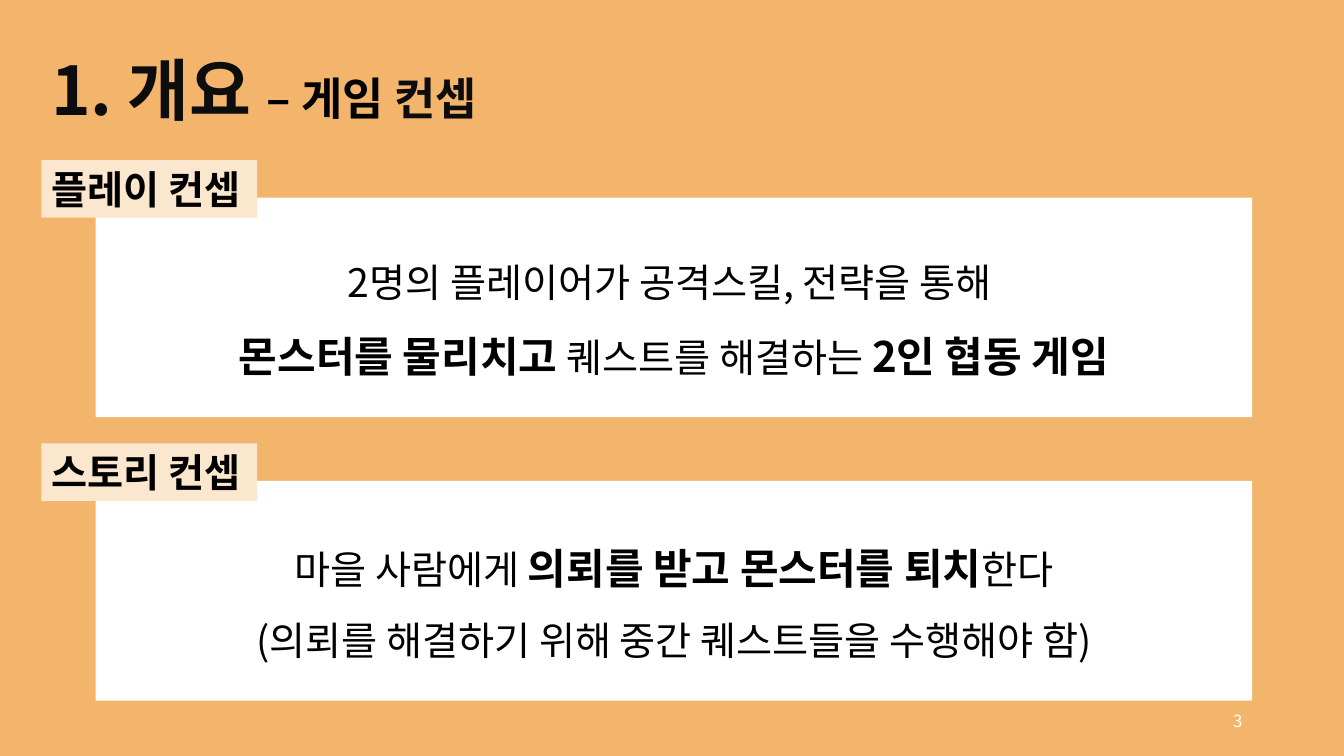
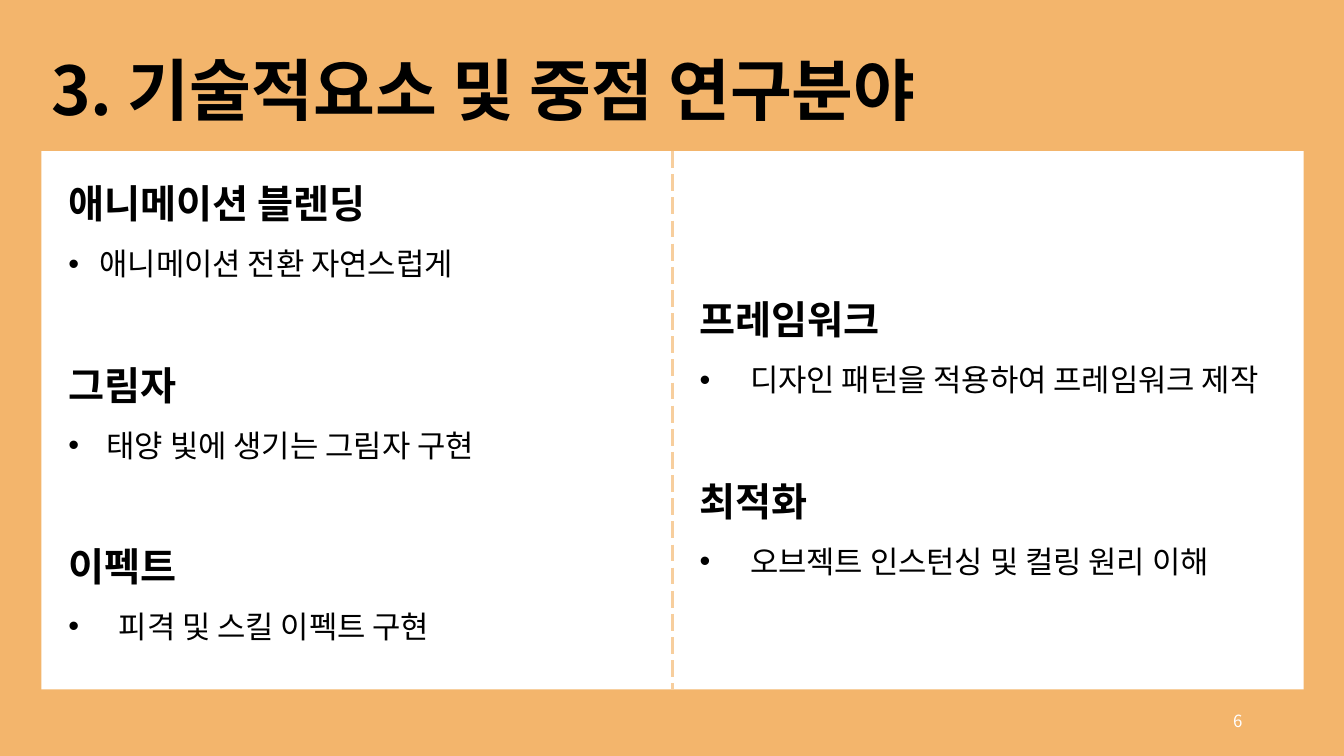
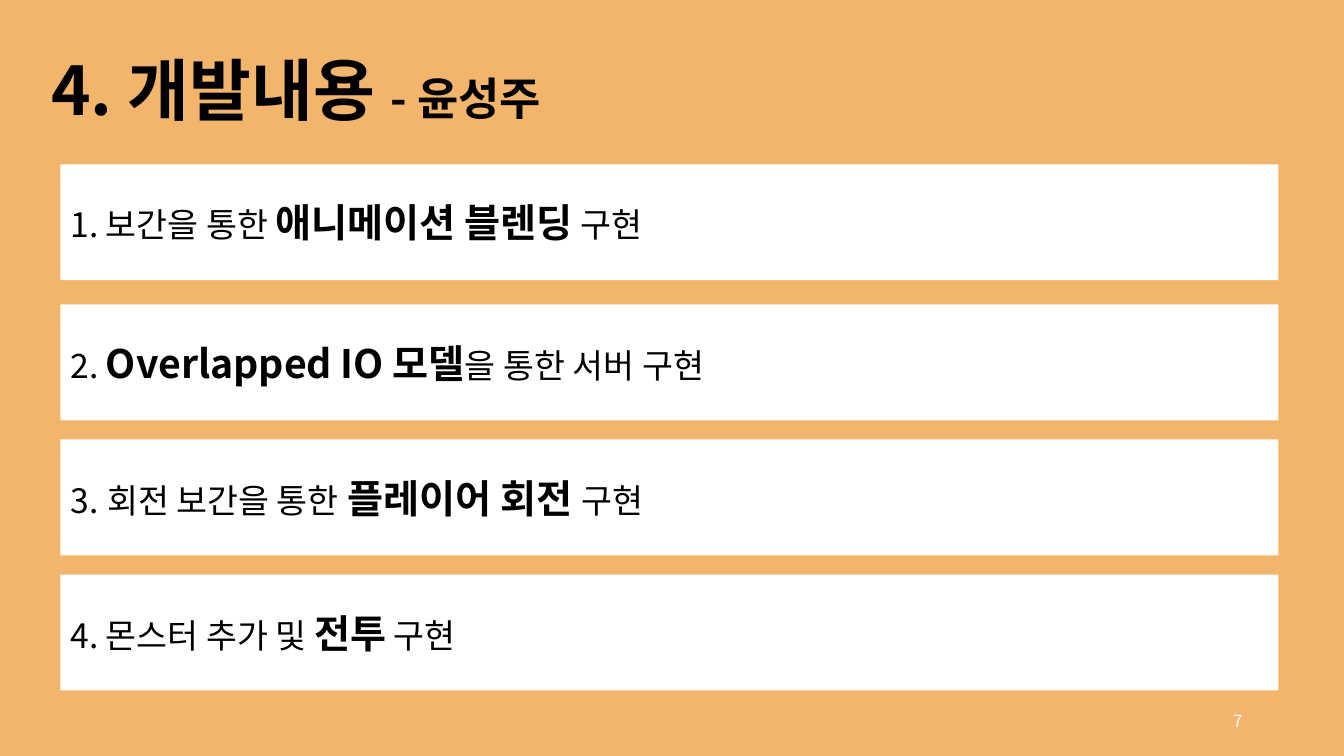
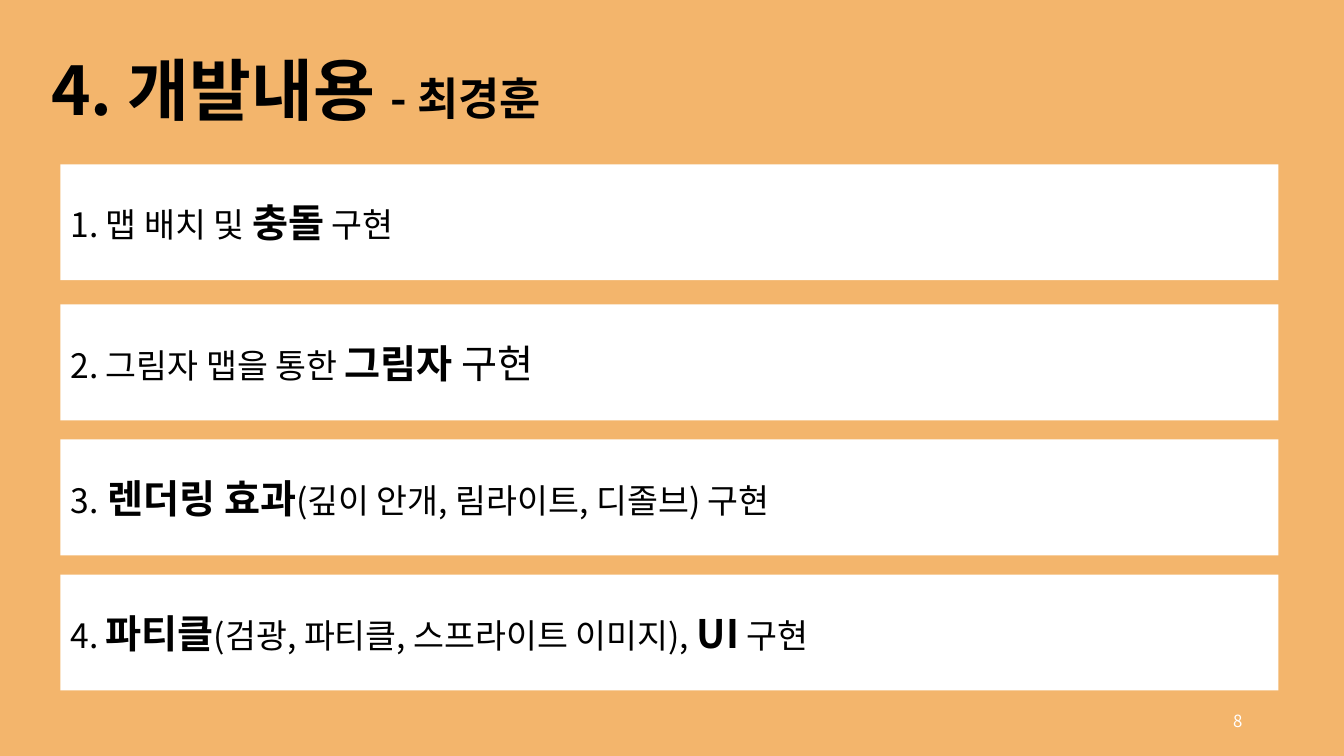
from lxml.etree import SubElement
from pptx import Presentation
from pptx.dml.color import RGBColor
from pptx.enum.dml import MSO_LINE
from pptx.enum.shapes import MSO_CONNECTOR, MSO_SHAPE
from pptx.enum.text import MSO_ANCHOR as Anchor, MSO_AUTO_SIZE as AutoSize, PP_ALIGN as Align
from pptx.oxml.ns import qn
from pptx.util import Inches, Pt


def rgb(value):
    """Turn a hex string into a colour."""
    return RGBColor.from_string(value)


class Deck:
    """Hold the shared style and the slide being built."""

    FONT = "Noto Sans CJK KR"
    ORANGE, CREAM, DASH = "F3B56C", "FBE6CE", "F7CE9D"
    WHITE, BLACK, INK = "FFFFFF", "000000", "0D0D0D"
    LEFT = 0.41
    TOPIC_GAP = 39.5

    def __init__(self):
        """Open an empty widescreen presentation."""
        self.prs = Presentation()
        self.prs.slide_width, self.prs.slide_height = Inches(13.33), Inches(7.5)
        self.slide = None

    def new_slide(self, number, title):
        """Start a slide with its background, title and page number."""
        self.slide = self.prs.slides.add_slide(self.prs.slide_layouts[6])
        background = self.slide.background.fill
        background.solid()
        background.fore_color.rgb = rgb(self.ORANGE)
        heading = self.text_area((self.LEFT, 0.35, 12.17, 1.15), Anchor.MIDDLE)
        self.add_runs(heading.paragraphs[0], title, spacing=0.9)
        page = self.text_area((9.42, 6.95, 3, 0.4), Anchor.MIDDLE)
        self.add_runs(page.paragraphs[0], [(number, 12, False, self.WHITE)], Align.RIGHT)

    def text_area(self, box, anchor=Anchor.TOP):
        """Add a wrapping text box and return its frame."""
        frame = self.slide.shapes.add_textbox(*map(Inches, box)).text_frame
        frame.word_wrap = True
        frame.vertical_anchor = anchor
        return frame

    def add_runs(self, paragraph, runs, align=Align.LEFT, spacing=None):
        """Fill a paragraph with runs of text, size, weight and optional colour."""
        paragraph.alignment = align
        if spacing:
            paragraph.line_spacing = spacing
        for text, size, bold, *color in runs:
            run = paragraph.add_run()
            run.text = text
            font = run.font
            font.name, font.size, font.bold = self.FONT, Pt(size), bold
            font.color.rgb = rgb(color[0] if color else self.BLACK)
            SubElement(font._element, qn("a:ea"), typeface=self.FONT)

    def panel(self, box, lines=(), fill=WHITE, align=Align.LEFT, spacing=None):
        """Add a flat rectangle with lines of text and return its frame."""
        rectangle = self.slide.shapes.add_shape(MSO_SHAPE.RECTANGLE, *map(Inches, box))
        rectangle.shadow.inherit = False
        rectangle.fill.solid()
        rectangle.fill.fore_color.rgb = rgb(fill)
        rectangle.line.fill.background()
        frame = rectangle.text_frame
        frame.vertical_anchor = Anchor.MIDDLE
        for index, runs in enumerate(lines):
            paragraph = frame.add_paragraph() if index else frame.paragraphs[0]
            self.add_runs(paragraph, runs, align, spacing)
        return frame

    def concept(self, top, label, lines):
        """Add a white concept panel with a label over its corner."""
        self.panel((0.95, top, 11.47, 2.18), lines, align=Align.CENTER, spacing=1.5)
        tag = self.panel((self.LEFT, top - 0.37, 2.14, 0.57), [[(label, 28, True)]], self.CREAM)
        tag.vertical_anchor = Anchor.TOP
        tag.word_wrap = False
        tag.auto_size = AutoSize.SHAPE_TO_FIT_TEXT

    def topics(self, box, entries):
        """Add headings, each with one bulleted detail."""
        frame = self.text_area(box)
        frame.auto_size = AutoSize.SHAPE_TO_FIT_TEXT
        for index, (heading, detail, indent) in enumerate(entries):
            topic = frame.add_paragraph() if index else frame.paragraphs[0]
            self.add_runs(topic, [(heading, 28, True)], spacing=1.5)
            if index:
                topic.space_before = Pt(self.TOPIC_GAP)
            bullet = frame.add_paragraph()
            self.add_runs(bullet, [(detail, 22, False)], spacing=1.5)
            props = bullet._p.get_or_add_pPr()
            props.set("marL", str(Inches(indent)))
            props.set("indent", str(-Inches(indent)))
            SubElement(props, qn("a:buFont"), typeface="Arial")
            SubElement(props, qn("a:buChar"), char="•")

    def divider(self, x, top, bottom):
        """Add a dashed vertical line."""
        line = self.slide.shapes.add_connector(
            MSO_CONNECTOR.STRAIGHT, Inches(x), Inches(top), Inches(x), Inches(bottom))
        line.line.color.rgb = rgb(self.DASH)
        line.line.width = Pt(1.5)
        line.line.dash_style = MSO_LINE.LONG_DASH
        SubElement(line._element.spPr, qn("a:effectLst"))

    def work_slide(self, number, member, tasks):
        """Add a slide that lists one member's tasks in bars."""
        self.new_slide(number, [("4. 개발내용 ", 48, True), (f"- {member}", 32, True)])
        for top, runs in zip((1.63, 3.02, 4.36, 5.7), tasks):
            self.panel((0.6, top, 12.08, 1.15), [runs])


def main():
    """Build the four slides."""
    deck = Deck()

    deck.new_slide("3", [("1. 개요 ", 48, True, Deck.INK), ("– 게임 ", 32, True),
                         ("컨셉", 32, True, Deck.INK)])
    deck.concept(1.96, "플레이 컨셉", [
        [("2명의 플레이어가 공격스킬, 전략을 통해 ", 28, False)],
        [("몬스터를 물리치고", 30, True), (" 퀘스트를 해결하는 ", 28, False),
         ("2인 협동 게임", 30, True)],
    ])
    deck.concept(4.77, "스토리 컨셉", [
        [("마을 사람에게 ", 28, False), ("의뢰를 받고 몬스터를 퇴치", 30, True),
         ("한다", 28, False)],
        [("(의뢰를 해결하기 위해 중간 퀘스트들을 수행해야 함)", 28, False)],
    ])

    deck.new_slide("6", [("3. 기술적요소 및 중점 연구분야", 48, True)])
    deck.panel((Deck.LEFT, 1.5, 12.52, 5.34))
    deck.topics((0.58, 1.5, 5.91, 5.64), [
        ("애니메이션 블렌딩", "애니메이션 전환 자연스럽게", 0.31),
        ("그림자", "태양 빛에 생기는 그림자 구현", 0.38),
        ("이펙트", "피격 및 스킬 이펙트 구현", 0.5),
    ])
    deck.topics((6.84, 2.65, 5.91, 3.13), [
        ("프레임워크", "디자인 패턴을 적용하여 프레임워크 제작", 0.5),
        ("최적화", "오브젝트 인스턴싱 및 컬링 원리 이해", 0.5),
    ])
    deck.divider(6.67, 1.5, 6.84)

    deck.work_slide("7", "윤성주", [
        [("1. 보간을 통한 ", 24, False), ("애니메이션 블렌딩", 28, True), (" 구현", 24, False)],
        [("2. ", 24, False), ("Overlapped IO 모델", 28, True), ("을 통한 서버 구현", 24, False)],
        [("3.", 24, False), (" ", 28, True), ("회전 보간을 통한", 24, False),
         (" 플레이어 회전 ", 28, True), ("구현", 24, False)],
        [("4. 몬스터 추가 및 ", 24, False), ("전투", 28, True), (" 구현", 24, False)],
    ])
    deck.work_slide("8", "최경훈", [
        [("1. 맵 배치 및 ", 24, False), ("충돌", 28, True), (" 구현", 24, False)],
        [("2. 그림자 맵을 통한 ", 24, False), ("그림자", 28, True), (" 구현", 28, False)],
        [("3.", 24, False), (" 렌더링 효과", 28, True),
         ("(깊이 안개, 림라이트, 디졸브) 구현", 24, False)],
        [("4. ", 24, False), ("파티클", 28, True),
         ("(검광, 파티클, 스프라이트 이미지), ", 24, False), ("UI", 28, True),
         (" 구현", 24, False)],
    ])
    deck.prs.save("out.pptx")


if __name__ == "__main__":
    main()
